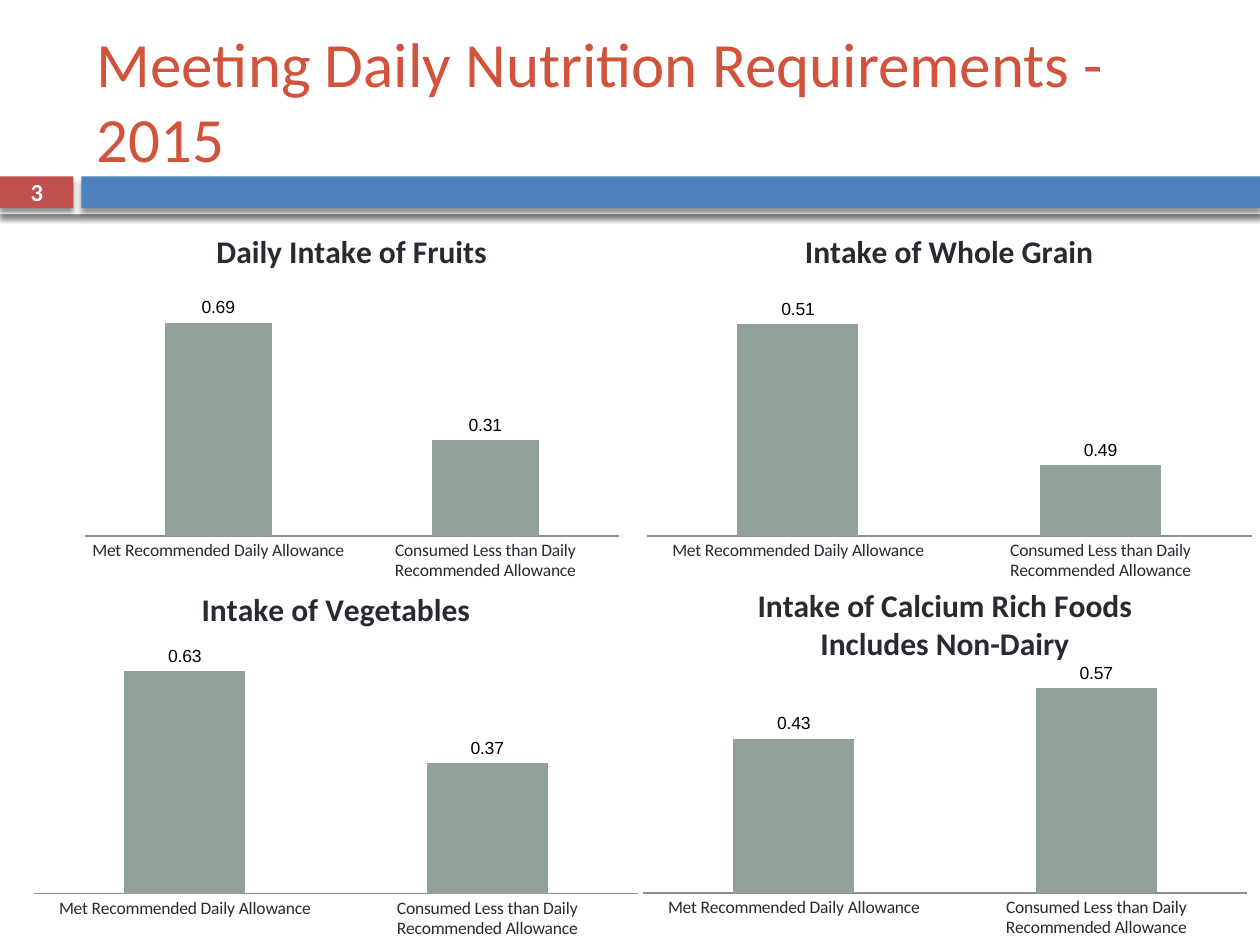
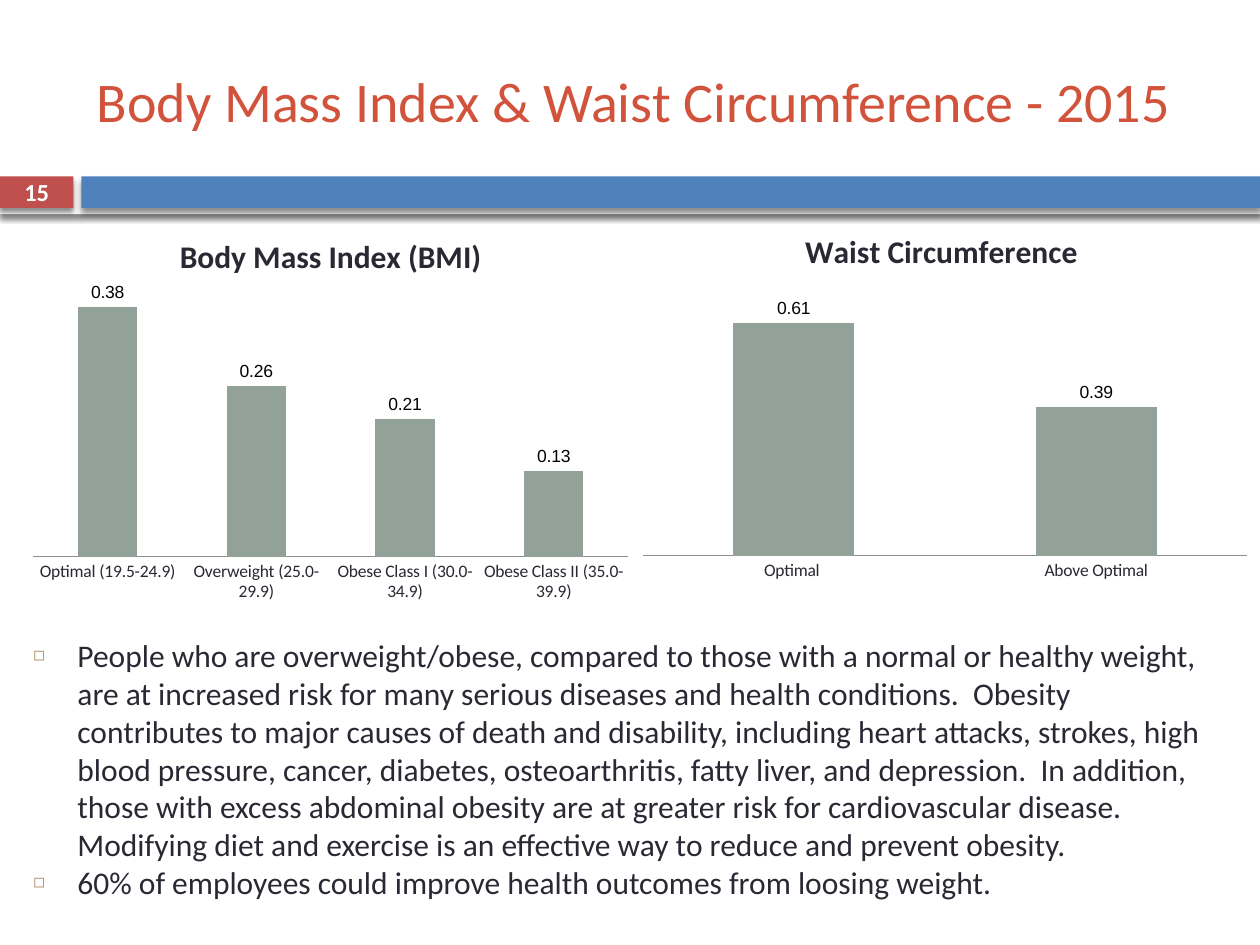
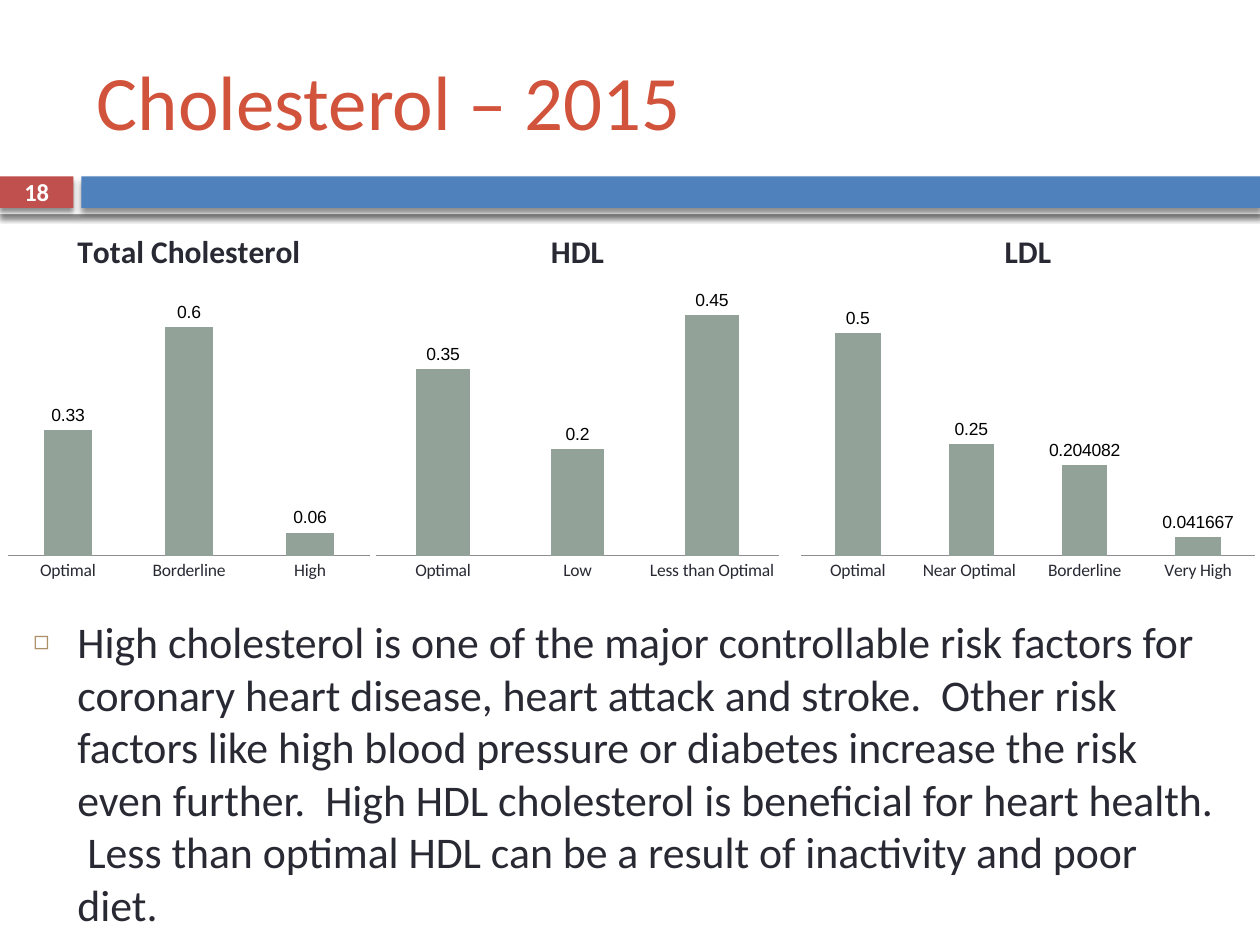
"""Build three employee health slides with column charts on a shared banded design."""
import dataclasses

import lxml.etree
import pptx
import pptx.chart.data
import pptx.dml.color
import pptx.enum.chart
import pptx.enum.shapes
import pptx.enum.text
import pptx.oxml
import pptx.oxml.ns
import pptx.util


@dataclasses.dataclass(frozen=True)
class Theme:
    heading_font: str = "Calibri"
    label_font: str = "Arial"
    title: str = "D2533C"
    ink: str = "292934"
    black: str = "000000"
    white: str = "FFFFFF"
    red: str = "C0504D"
    blue: str = "4F81BD"
    column: str = "93A299"
    axis: str = "8E8E90"
    bullet: str = "AD8F67"
    chart_title_size: int = 18
    label_size: int = 10
    number_size: int = 14


THEME = Theme()
WIDTH, HEIGHT = 10, 7.5
COLUMNS, ROWS = 120, 90
CHART_TOP, CHART_ROWS = 20, 36
LOWER_TOP = 54
BLUE_LEFT = 7.75

BANDS = [
    ((0, 16.2, COLUMNS, 4.2), THEME.white),
    ((0, 16.8, 7, 3), THEME.red),
    ((BLUE_LEFT, 16.8, COLUMNS - BLUE_LEFT, 3), THEME.blue),
]
NUMBER_PLACE = (0, 16.68, 7, 3.24)

ALLOWANCE = ["Met Recommended Daily Allowance", "Consumed Less than Daily Recommended Allowance"]

SLIDES = [
    {
        "number": "3",
        "title": "Meeting Daily Nutrition Requirements - 2015",
        "title_size": 36,
        "title_columns": 111,
        "charts": [
            {"title": "Intake of Calcium Rich Foods\nIncludes Non-Dairy", "place": (60, LOWER_TOP, 60, CHART_ROWS),
             "categories": ALLOWANCE, "values": [0.43, 0.57], "scale": (0, 0.6, 0.1)},
            {"title": "Intake of Whole Grain", "place": (60.4, CHART_TOP, 60, CHART_ROWS),
             "categories": ALLOWANCE, "values": [0.51, 0.49], "scale": (0.48, 0.515, 0.005)},
            {"title": "Daily Intake of Fruits", "place": (7, CHART_TOP, 53, CHART_ROWS),
             "categories": ALLOWANCE, "values": [0.69, 0.31], "scale": (0, 0.8, 0.1)},
            {"title": "Intake of Vegetables", "place": (2, LOWER_TOP + 0.06, 60, CHART_ROWS),
             "categories": ALLOWANCE, "values": [0.63, 0.37], "scale": (0, 0.7, 0.1)},
        ],
    },
    {
        "number": "15",
        "title": "Body Mass Index & Waist Circumference - 2015",
        "title_size": 32,
        "title_columns": 112,
        "body_place": (2, 60, 115, 27),
        "body_size": 18,
        "body": [
            "People who are overweight/obese, compared to those with a normal or healthy weight, are at "
            "increased risk for many serious diseases and health conditions.  Obesity contributes to major "
            "causes of death and disability, including heart attacks, strokes, high blood pressure, cancer, "
            "diabetes, osteoarthritis, fatty liver, and\u00a0depression.  In addition, those with excess "
            "abdominal obesity are at greater risk for cardiovascular disease.  Modifying diet and exercise "
            "is an effective way to reduce and prevent obesity.",
            "60% of employees could improve health outcomes from loosing weight. ",
        ],
        "charts": [
            {"title": "Waist Circumference ", "place": (60, CHART_TOP, 60, CHART_ROWS),
             "categories": ["Optimal ", "Above Optimal"], "values": [0.61, 0.39], "scale": (0, 0.7, 0.1)},
            {"title": "Body Mass Index (BMI)", "place": (2, 20.45, 59, 37.55),
             "categories": ["Optimal (19.5-24.9)", "Overweight (25.0-29.9)",
                            "Obese Class I (30.0-34.9)", "Obese Class II (35.0-39.9)"],
             "values": [0.38, 0.26, 0.21, 0.13], "scale": (0, 0.4, 0.05)},
        ],
    },
    {
        "number": "18",
        "title": "Cholesterol \u2013 2015",
        "title_size": 44,
        "title_columns": 107,
        "body_place": (2, 58, 115, 30),
        "body_size": 25,
        "body": [
            "High cholesterol is one of the major controllable risk factors for coronary heart disease, heart "
            "attack and stroke.  Other risk factors like high blood pressure or diabetes increase the risk "
            "even further.  High HDL cholesterol is beneficial for heart health.  Less than optimal HDL can "
            "be a result of inactivity and poor diet.",
        ],
        "charts": [
            {"title": "Total Cholesterol", "place": (0, CHART_TOP, 36, CHART_ROWS),
             "categories": ["Optimal", "Borderline", "High"],
             "values": [0.33, 0.6, 0.06], "scale": (0, 0.7, 0.1)},
            {"title": "HDL", "place": (35, CHART_TOP, 40, CHART_ROWS),
             "categories": ["Optimal", "Low", "Less than Optimal"],
             "values": [0.35, 0.2, 0.45], "scale": (0, 0.5, 0.05)},
            {"title": "LDL", "place": (75.4, CHART_TOP, 45, CHART_ROWS), "plot_fill": False,
             "categories": ["Optimal", "Near Optimal ", "Borderline", "Very High"],
             "values": [0.5, 0.25, 0.204082, 0.041667], "scale": (0, 0.6, 0.1)},
        ],
    },
]


def rgb(value):
    return pptx.dml.color.RGBColor.from_string(value)


def place_of(cells):
    left, top, width, height = cells
    across, down = WIDTH / COLUMNS, HEIGHT / ROWS
    return [pptx.util.Inches(n) for n in (left * across, top * down, width * across, height * down)]


def style(font, size, color, bold=False, name=THEME.heading_font):
    font.name, font.size, font.bold = name, pptx.util.Pt(size), bold
    font.color.rgb = rgb(color)


def add_xml(parent, markup):
    declared = markup.replace(" ", f' {pptx.oxml.ns.nsdecls("a")} ', 1)
    parent.append(pptx.oxml.parse_xml(declared))


def add_band(page, cells, color):
    band = page.shapes.add_shape(pptx.enum.shapes.MSO_SHAPE.RECTANGLE, *place_of(cells))
    band.fill.solid()
    band.fill.fore_color.rgb = rgb(color)
    band.line.fill.background()
    band.shadow.inherit = False
    effects = band.element.spPr.find(pptx.oxml.ns.qn("a:effectLst"))
    add_xml(effects, '<a:outerShdw blurRad="38100" dist="30480" dir="5400000" rotWithShape="0">'
                     f'<a:srgbClr val="{THEME.black}"><a:alpha val="45000"/></a:srgbClr></a:outerShdw>')


def add_text(page, cells, lines, size, color, bold=False, align=None, middle=True, bullets=False):
    frame = page.shapes.add_textbox(*place_of(cells)).text_frame
    frame.word_wrap = True
    anchors = pptx.enum.text.MSO_ANCHOR
    frame.vertical_anchor = anchors.MIDDLE if middle else anchors.TOP
    frame.text = "\n".join(lines)
    for para in frame.paragraphs:
        if align is not None:
            para.alignment = align
        if bullets:
            add_bullet(para)
        style(para.font, size, color, bold)


def add_bullet(para):
    settings = para._p.get_or_add_pPr()
    indent = pptx.util.Inches(0.35)
    settings.set("marL", str(indent))
    settings.set("indent", str(-indent))
    add_xml(settings, f'<a:buClr ><a:srgbClr val="{THEME.bullet}"/></a:buClr>')
    add_xml(settings, '<a:buSzPct val="60000"/>')
    add_xml(settings, f'<a:buFont typeface="{THEME.label_font}"/>')
    add_xml(settings, '<a:buChar char="\u25fb"/>')


def fill_plot(chart):
    area = chart.element.find(".//" + pptx.oxml.ns.qn("c:plotArea"))
    holder = lxml.etree.SubElement(area, pptx.oxml.ns.qn("c:spPr"))
    add_xml(holder, f'<a:solidFill ><a:srgbClr val="{THEME.white}"/></a:solidFill>')


def add_column_chart(page, content):
    data = pptx.chart.data.CategoryChartData()
    data.categories = content["categories"]
    data.add_series("Series 1", content["values"])
    kinds = pptx.enum.chart
    chart = page.shapes.add_chart(kinds.XL_CHART_TYPE.COLUMN_CLUSTERED, *place_of(content["place"]), data).chart
    style(chart.font, THEME.label_size, THEME.black, name=THEME.label_font)
    chart.has_legend = False
    chart.has_title = True
    chart.chart_title.include_in_layout = False
    chart.chart_title.text_frame.text = content["title"]
    for para in chart.chart_title.text_frame.paragraphs:
        style(para.font, THEME.chart_title_size, THEME.ink, True)

    names = chart.category_axis
    names.major_tick_mark = names.minor_tick_mark = kinds.XL_TICK_MARK.NONE
    names.has_major_gridlines = False
    names.format.line.color.rgb = rgb(THEME.axis)
    names.format.line.width = pptx.util.Pt(0.79)
    style(names.tick_labels.font, THEME.label_size, THEME.ink)
    scale = chart.value_axis
    scale.minimum_scale, scale.maximum_scale, scale.major_unit = content["scale"]
    scale.has_major_gridlines = False
    scale.visible = False

    plot = chart.plots[0]
    plot.gap_width, plot.overlap, plot.vary_by_categories = 150, -25, False
    fill = plot.series[0].format.fill
    fill.solid()
    fill.fore_color.rgb = rgb(THEME.column)
    plot.has_data_labels = True
    labels = plot.data_labels
    labels.show_value = True
    labels.position = kinds.XL_LABEL_POSITION.OUTSIDE_END
    style(labels.font, THEME.label_size, THEME.black, name=THEME.label_font)
    if content.get("plot_fill", True):
        fill_plot(chart)


def add_page(deck, content):
    page = deck.slides.add_slide(deck.slide_layouts[6])
    page.background.fill.solid()
    page.background.fill.fore_color.rgb = rgb(THEME.white)
    for cells, color in BANDS:
        add_band(page, cells, color)
    add_text(page, (8.04, 3, content["title_columns"], 13), [content["title"]], content["title_size"], THEME.title)
    if "body" in content:
        add_text(page, content["body_place"], content["body"], content["body_size"], THEME.ink,
                 middle=False, bullets=True)
    for chart in content["charts"]:
        add_column_chart(page, chart)
    add_text(page, NUMBER_PLACE, [content["number"]], THEME.number_size, THEME.white, True,
             pptx.enum.text.PP_ALIGN.CENTER)


deck = pptx.Presentation()
deck.slide_width, deck.slide_height = pptx.util.Inches(WIDTH), pptx.util.Inches(HEIGHT)
for slide_content in SLIDES:
    add_page(deck, slide_content)
deck.save("out.pptx")
